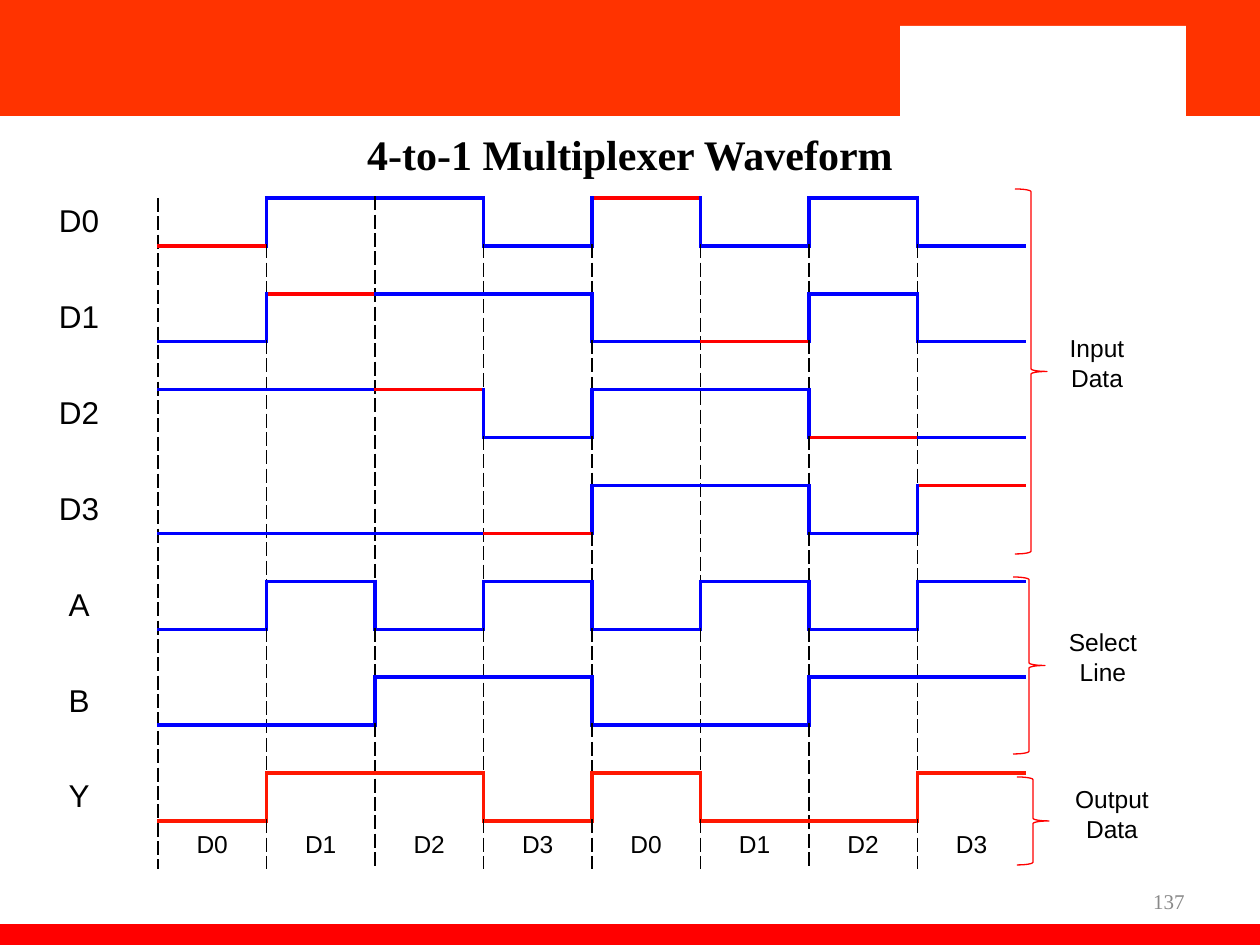
import lxml.etree
import pptx
import pptx.dml.color
import pptx.enum.shapes
import pptx.enum.text
import pptx.oxml.ns
import pptx.util

SCALE = 914400 / 126
BLACK, WHITE, GREY = "000000", "FFFFFF", "898989"
RED, BLUE, ORANGE, OUTPUT = "FF0000", "0000FF", "FF3300", "FF1701"
NO_STYLE = "{2D5ABB26-0587-4C30-8999-92F81FD0307C}"
SIGNALS = {
    "D0": "01101010",
    "D1": "01110010",
    "D2": "11101100",
    "D3": "00001101",
    "A": "01010101",
    "B": "00110011",
}
SLOTS = ["D0", "D1", "D2", "D3"] * 2
GROUPS = [
    ("Input\nData", (1015, 189, 32, 365), (1049, 317, 96, 90)),
    ("Select\nLine", (1013, 577, 32, 177), (1047, 611, 112, 90)),
    ("Output\nData", (1017, 777, 32, 88), (1052, 768, 120, 90)),
]
SHAPES = pptx.enum.shapes.MSO_SHAPE
ALIGN = pptx.enum.text.PP_ALIGN
MIDDLE = pptx.enum.text.MSO_ANCHOR.MIDDLE


def emu(pixels):
    """Turn px into EMU."""
    return pptx.util.Emu(round(pixels * SCALE))


def colour(value):
    """Turn a hex string into a colour."""
    return pptx.dml.color.RGBColor.from_string(value)


def write(frame, text, size=14, font="Arial", ink=BLACK, bold=False,
          align=ALIGN.CENTER, spacing=1.0):
    """Fill a text frame, one paragraph for each line."""
    frame.text = text
    for para in frame.paragraphs:
        para.alignment = align
        para.line_spacing = spacing
        for span in para.runs:
            span.font.size = pptx.util.Pt(size)
            span.font.name = font
            span.font.bold = bold
            span.font.color.rgb = colour(ink)


def add_text(page, box, text, **style):
    """Place a vertically centred text box."""
    frame = page.shapes.add_textbox(*map(emu, box)).text_frame
    frame.word_wrap = True
    frame.vertical_anchor = MIDDLE
    write(frame, text, **style)


def add_bar(page, box, fill):
    """Place a plain filled rectangle."""
    bar = page.shapes.add_shape(SHAPES.RECTANGLE, *map(emu, box))
    bar.shadow.inherit = False
    bar.fill.solid()
    bar.fill.fore_color.rgb = colour(fill)
    bar.line.fill.background()


def add_frame(page, box):
    """Draw the header, its white tab and the footer within the box."""
    left, top, width, height = box
    add_bar(page, (left, top, width, 116), ORANGE)
    add_bar(page, (left + 900, top + 26, 286, 94), WHITE)
    add_bar(page, (left, top + height - 21, width, 21), RED)


def set_borders(cell, borders):
    """Set all four lines of one cell, leaving unplanned sides unpainted."""
    properties = cell._tc.get_or_add_tcPr()
    for index, side in enumerate("LRTB"):
        line = lxml.etree.Element(pptx.oxml.ns.qn(f"a:ln{side}"))
        properties.insert(index, line)
        if side not in borders:
            lxml.etree.SubElement(line, pptx.oxml.ns.qn("a:noFill"))
            continue
        ink, points, dash = borders[side]
        line.set("w", str(pptx.util.Pt(points)))
        fill = lxml.etree.SubElement(line, pptx.oxml.ns.qn("a:solidFill"))
        lxml.etree.SubElement(fill, pptx.oxml.ns.qn("a:srgbClr"), val=ink)
        lxml.etree.SubElement(line, pptx.oxml.ns.qn("a:prstDash"), val=dash)


def plan_borders(waves):
    """Work out the time grid and wave edges for every cell."""
    borders = {(row, column): {} for row in range(2 * len(waves))
               for column in range(len(SLOTS) + 1)}

    def upright(row, column, *line):
        """Set the line at the left of a cell."""
        borders[row, column]["L"] = borders[row, column - 1]["R"] = line

    def level(row, column, *line):
        """Set the line at the top of a cell."""
        borders[row, column]["T"] = line
        if row:
            borders[row - 1, column]["B"] = line

    for row, column in borders:
        if column:
            upright(row, column, BLACK, 1, "dash")
    for index, (name, wave) in enumerate(waves.items()):
        base = OUTPUT if name == "Y" else BLUE
        for column, state in enumerate(wave, 1):
            ink = RED if SLOTS[column - 1] == name else base
            level(2 * index + (state == "0"), column, ink, 2.25, "solid")
            if column > 1 and state != wave[column - 2]:
                upright(2 * index, column, base, 2.25, "solid")
    return borders


def add_waveforms(page, box):
    """Draw the signals as table borders within the box."""
    output = "".join(SIGNALS[name][slot] for slot, name in enumerate(SLOTS))
    waves = {**SIGNALS, "Y": output}
    borders = plan_borders(waves)
    rows, columns = 2 * len(waves), len(SLOTS) + 1
    left, top, width, height = box
    table = page.shapes.add_table(rows, columns, *map(emu, box)).table
    table.first_row = table.horz_banding = False
    table._tbl.tblPr.find(pptx.oxml.ns.qn("a:tableStyleId")).text = NO_STYLE
    label_width = 158
    for index, column in enumerate(table.columns):
        column.width = emu((width - label_width) / len(SLOTS) if index else label_width)
    for row in table.rows:
        row.height = emu(height / rows)
    labels = {(2 * index, 0): name for index, name in enumerate(waves)}
    labels.update({(rows - 1, slot): name for slot, name in enumerate(SLOTS, 1)})
    for place, lines in borders.items():
        cell = table.cell(*place)
        cell.margin_top = cell.margin_bottom = 0
        cell.vertical_anchor = MIDDLE
        cell.fill.solid()
        cell.fill.fore_color.rgb = colour(WHITE)
        write(cell.text_frame, labels.get(place, ""), size=14 if place[1] else 18)
        set_borders(cell, lines)


def add_group(page, text, brace_box, label_box):
    """Draw a brace and the label beside it."""
    brace = page.shapes.add_shape(SHAPES.RIGHT_BRACE, *map(emu, brace_box))
    brace.shadow.inherit = False
    brace.fill.background()
    brace.line.color.rgb = colour(RED)
    brace.line.width = pptx.util.Pt(0.75)
    add_text(page, label_box, text, spacing=1.05)


def main():
    """Build and save the slide."""
    deck = pptx.Presentation()
    deck.slide_width, deck.slide_height = emu(1260), emu(945)
    page = deck.slides.add_slide(deck.slide_layouts[6])
    add_frame(page, (0, 0, 1260, 945))
    add_text(page, (903, 876, 294, 50), "137", size=12, font="Times New Roman",
             ink=GREY, align=ALIGN.RIGHT)
    add_text(page, (0, 125, 1260, 58), "4-to-1 Multiplexer Waveform", size=24,
             font="Times New Roman", bold=True)
    add_waveforms(page, (0, 198, 1026, 671))
    for group in GROUPS:
        add_group(page, *group)
    deck.save("out.pptx")


if __name__ == "__main__":
    main()
